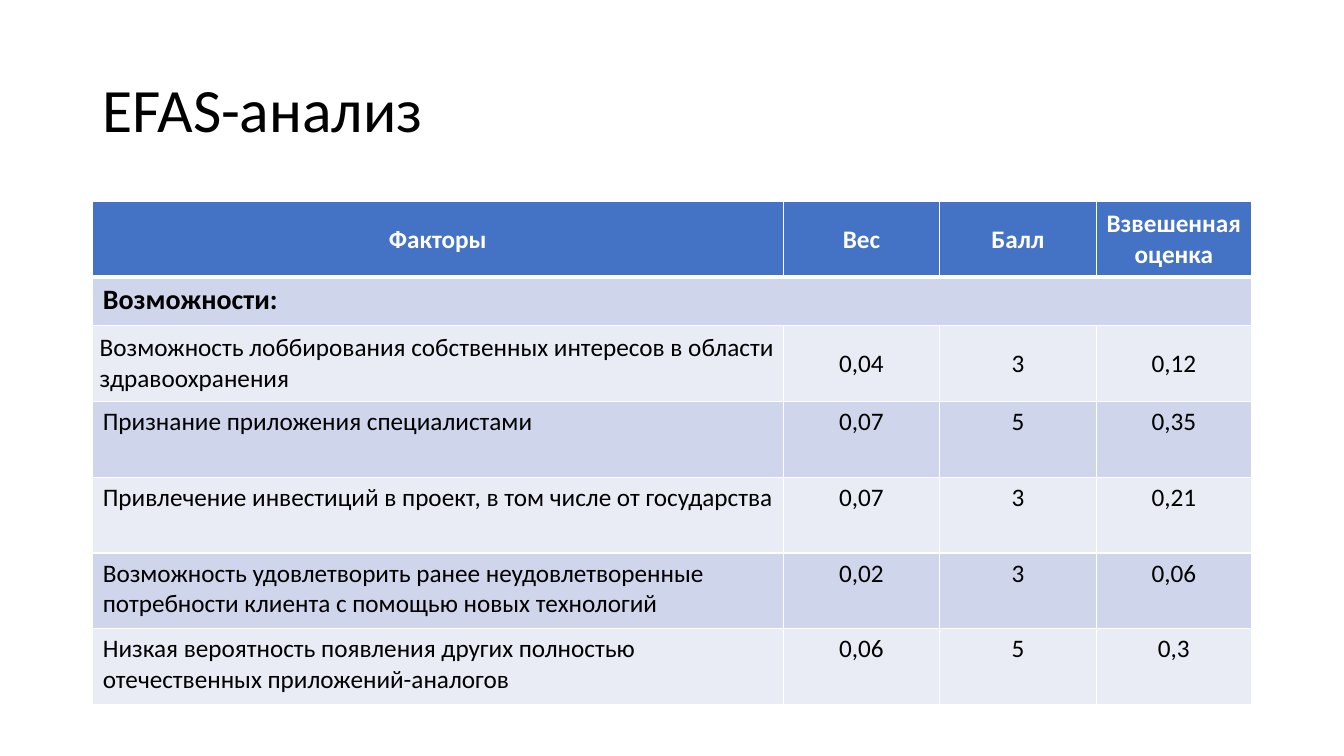
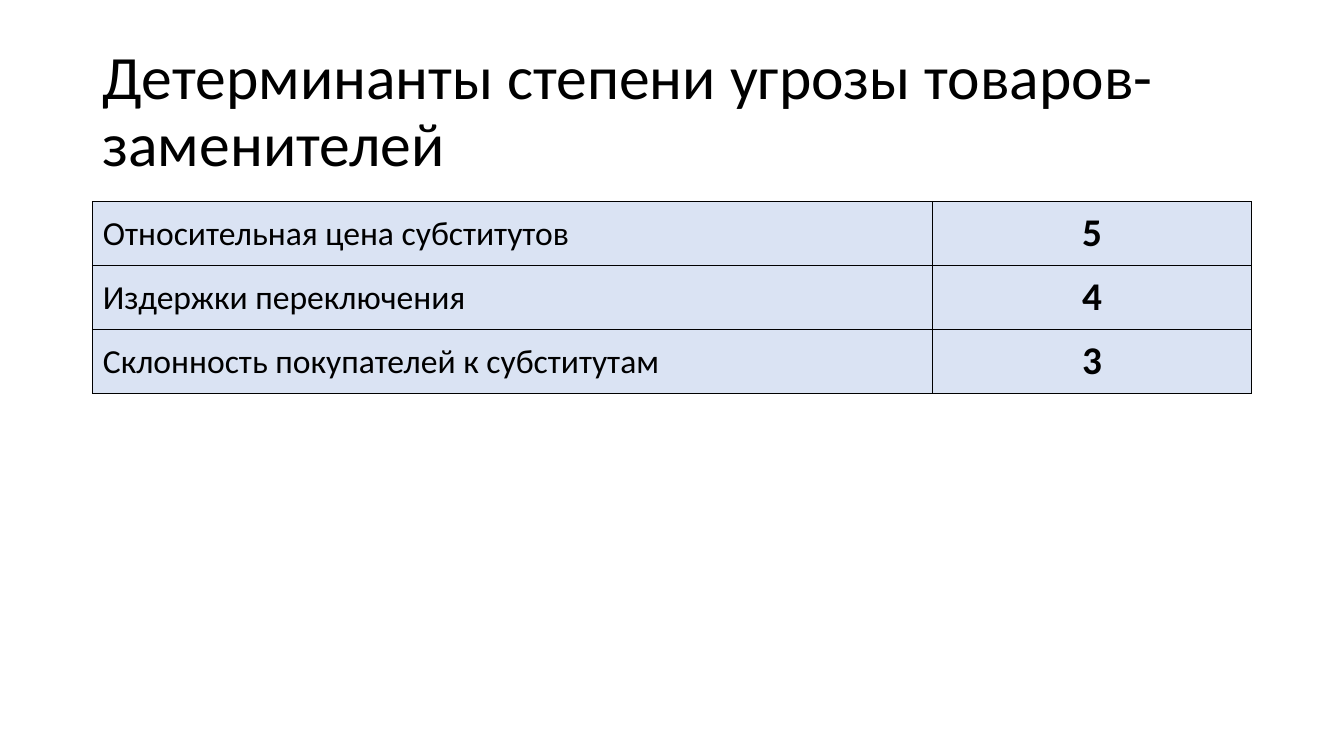
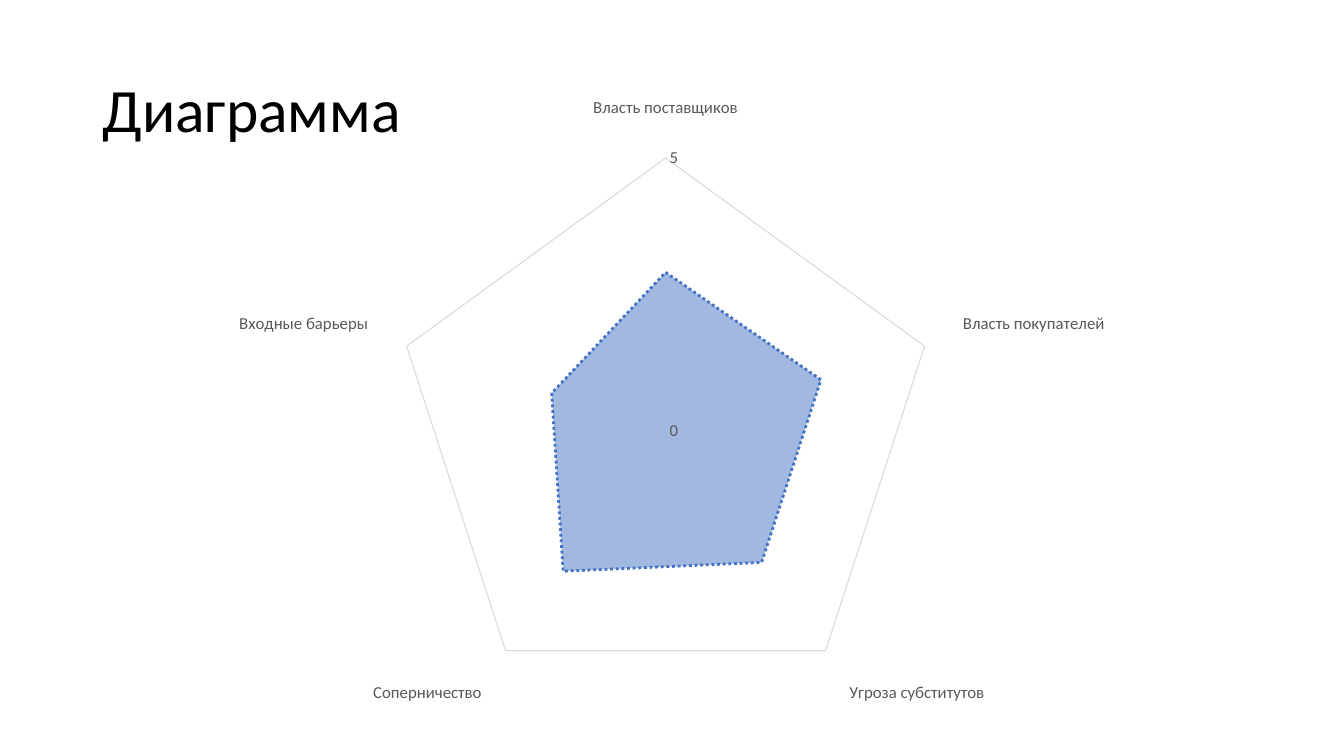
from dataclasses import dataclass

from lxml import etree
from pptx import Presentation
from pptx.chart.data import CategoryChartData
from pptx.dml.color import RGBColor
from pptx.enum.chart import XL_CHART_TYPE, XL_TICK_MARK
from pptx.enum.dml import MSO_LINE
from pptx.enum.text import MSO_ANCHOR, MSO_AUTO_SIZE, PP_ALIGN
from pptx.oxml.ns import qn
from pptx.util import Emu, Pt

LEFT, CENTER = PP_ALIGN.LEFT, PP_ALIGN.CENTER
TOP, MIDDLE = MSO_ANCHOR.TOP, MSO_ANCHOR.MIDDLE
FILLED_RADAR = XL_CHART_TYPE.RADAR_FILLED
NO_TICKS = XL_TICK_MARK.NONE
DOTTED = MSO_LINE.ROUND_DOT
NO_AUTOFIT = MSO_AUTO_SIZE.NONE
TITLE_ONLY = 5

PX = 9525
SLIDE_SIZE = (1280, 720)
TITLE_BOX = (88, 38, 1104, 139)


@dataclass(frozen=True)
class Theme:
    font: str = "Calibri"
    text: str = "000000"
    white: str = "FFFFFF"
    accent: str = "4472C4"
    band_dark: str = "CFD5EA"
    band_light: str = "E9EBF5"
    pale: str = "DAE3F3"
    label: str = "595959"
    grid: str = "D9D9D9"
    title_size: int = 44
    score_size: int = 28
    determinant_size: int = 24
    group_size: int = 20
    table_size: int = 18
    axis_size: int = 12


THEME = Theme()


@dataclass(frozen=True)
class CellStyle:
    fill: str
    size: int
    color: str = THEME.text
    bold: bool = False
    align: PP_ALIGN = LEFT
    anchor: MSO_ANCHOR = MIDDLE
    inset: tuple = (10, 5)
    border: str = THEME.white
    top_width: int = 1
    bottom_width: int = 1


def px(length):
    return Emu(length * PX)


def rgb(color):
    return RGBColor.from_string(color)


def set_font(font, size, color, bold=False):
    font.name = THEME.font
    font.size = Pt(size)
    font.bold = bold
    font.color.rgb = rgb(color)


def add_titled_slide(presentation, text):
    slide = presentation.slides.add_slide(presentation.slide_layouts[TITLE_ONLY])
    title = slide.shapes.title
    title.left, title.top, title.width, title.height = map(px, TITLE_BOX)
    frame = title.text_frame
    frame.word_wrap = True
    frame.auto_size = NO_AUTOFIT
    frame.vertical_anchor = MIDDLE
    paragraph = frame.paragraphs[0]
    paragraph.alignment = LEFT
    paragraph.line_spacing = 0.9
    run = paragraph.add_run()
    run.text = text
    set_font(run.font, THEME.title_size, THEME.text)
    return slide


def set_borders(cell, style):
    """Insert the four border lines ahead of the fill, as the schema requires."""
    properties = cell._tc.get_or_add_tcPr()
    widths = {"lnL": 1, "lnR": 1, "lnT": style.top_width, "lnB": style.bottom_width}
    for index, (side, width) in enumerate(widths.items()):
        line = etree.Element(qn(f"a:{side}"), w=str(Pt(width)))
        fill = etree.SubElement(line, qn("a:solidFill"))
        etree.SubElement(fill, qn("a:srgbClr"), val=style.border)
        properties.insert(index, line)


def fill_cell(cell, text, style):
    cell.fill.solid()
    cell.fill.fore_color.rgb = rgb(style.fill)
    cell.vertical_anchor = style.anchor
    cell.margin_left = cell.margin_right = px(style.inset[0])
    cell.margin_top = cell.margin_bottom = px(style.inset[1])
    set_borders(cell, style)
    paragraph = cell.text_frame.paragraphs[0]
    paragraph.alignment = style.align
    if text:
        run = paragraph.add_run()
        run.text = text
        set_font(run.font, style.size, style.color, style.bold)


def add_table(slide, left, top, column_widths, row_heights, rows, style_at):
    """Fill a table; style_at(row, column) gives the style of each cell."""
    table = slide.shapes.add_table(
        len(rows), len(column_widths), px(left), px(top),
        px(sum(column_widths)), px(sum(row_heights))).table
    for column, width in zip(table.columns, column_widths):
        column.width = px(width)
    for row, height in zip(table.rows, row_heights):
        row.height = px(height)
    for row_index, texts in enumerate(rows):
        for column_index, text in enumerate(texts):
            fill_cell(table.cell(row_index, column_index), text,
                      style_at(row_index, column_index))
    return table


def factor_style(row, column):
    if row == 0:
        return CellStyle(THEME.accent, THEME.table_size, THEME.white, bold=True,
                         align=CENTER, bottom_width=3)
    if row == 1:
        return CellStyle(THEME.band_dark, THEME.group_size, bold=True,
                         anchor=TOP, top_width=3)
    first_factor = row == 2
    return CellStyle(
        THEME.band_dark if row % 2 else THEME.band_light, THEME.table_size,
        align=CENTER if column else LEFT,
        anchor=MIDDLE if first_factor else TOP,
        inset=(7, 7) if first_factor else (10, 5))


def determinant_style(row, column):
    if column == 0:
        return CellStyle(THEME.pale, THEME.determinant_size, border=THEME.text)
    return CellStyle(THEME.pale, THEME.score_size, bold=True, align=CENTER,
                     border=THEME.text)


def style_axis(axis):
    axis.major_tick_mark = axis.minor_tick_mark = NO_TICKS
    set_font(axis.tick_labels.font, THEME.axis_size, THEME.label)


def add_forces_radar(slide, left, top, width, height, forces):
    data = CategoryChartData()
    data.categories = list(forces)
    data.add_series("Series 1", list(forces.values()))
    chart = slide.shapes.add_chart(
        FILLED_RADAR, px(left), px(top), px(width), px(height), data).chart
    chart.has_title = False
    chart.has_legend = False
    set_font(chart.font, 10, THEME.text)

    category_axis, value_axis = chart.category_axis, chart.value_axis
    style_axis(category_axis)
    style_axis(value_axis)
    category_axis.has_major_gridlines = False
    value_axis.minimum_scale, value_axis.maximum_scale = 0, 5
    value_axis.major_unit = 5
    value_axis.has_major_gridlines = True
    value_axis.format.line.fill.background()
    for line in (category_axis.format.line, value_axis.major_gridlines.format.line):
        line.color.rgb = rgb(THEME.grid)
        line.width = Pt(0.75)

    chart.plots[0].vary_by_categories = False
    area = chart.plots[0].series[0].format
    area.fill.solid()
    area.fill.fore_color.rgb = rgb(THEME.accent)
    color = chart.plots[0].series[0]._element.find(
        f"{qn('c:spPr')}/{qn('a:solidFill')}/{qn('a:srgbClr')}")
    etree.SubElement(color, qn("a:alpha"), val="50000")
    area.line.color.rgb = rgb(THEME.accent)
    area.line.width = Pt(2)
    area.line.dash_style = DOTTED


def build_efas_slide(presentation):
    slide = add_titled_slide(presentation, "EFAS-анализ")
    rows = [
        ("Факторы", "Вес", "Балл", "Взвешенная оценка"),
        ("Возможности:", "", "", ""),
        ("Возможность лоббирования собственных интересов в области здравоохранения",
         "0,04", "3", "0,12"),
        ("Признание приложения специалистами", "0,07", "5", "0,35"),
        ("Привлечение инвестиций в проект, в том числе от государства",
         "0,07", "3", "0,21"),
        ("Возможность удовлетворить ранее неудовлетворенные потребности клиента "
         "с помощью новых технологий", "0,02", "3", "0,06"),
        ("Низкая вероятность появления других полностью отечественных "
         "приложений-аналогов", "0,06", "5", "0,3"),
    ]
    table = add_table(slide, 88, 192, (658, 149, 149, 148), (72, 46) + (72,) * 5,
                      rows, factor_style)
    table.cell(1, 0).merge(table.cell(1, 3))


def build_determinants_slide(presentation):
    slide = add_titled_slide(
        presentation, "Детерминанты степени угрозы товаров-заменителей")
    rows = [
        ("Относительная цена субститутов", "5"),
        ("Издержки переключения", "4"),
        ("Склонность покупателей к субститутам", "3"),
    ]
    add_table(slide, 88, 192, (800, 304), (61,) * 3, rows, determinant_style)


def build_radar_slide(presentation):
    slide = add_titled_slide(presentation, "Диаграмма")
    add_forces_radar(slide, 88, 81, 1104, 601, {
        "Власть поставщиков": 2.9,
        "Власть покупателей": 3,
        "Угроза субститутов": 3,
        "Соперничество": 3.2,
        "Входные барьеры": 2.2,
    })


def main():
    presentation = Presentation()
    presentation.slide_width, presentation.slide_height = map(px, SLIDE_SIZE)
    build_efas_slide(presentation)
    build_determinants_slide(presentation)
    build_radar_slide(presentation)
    presentation.save("out.pptx")


if __name__ == "__main__":
    main()
